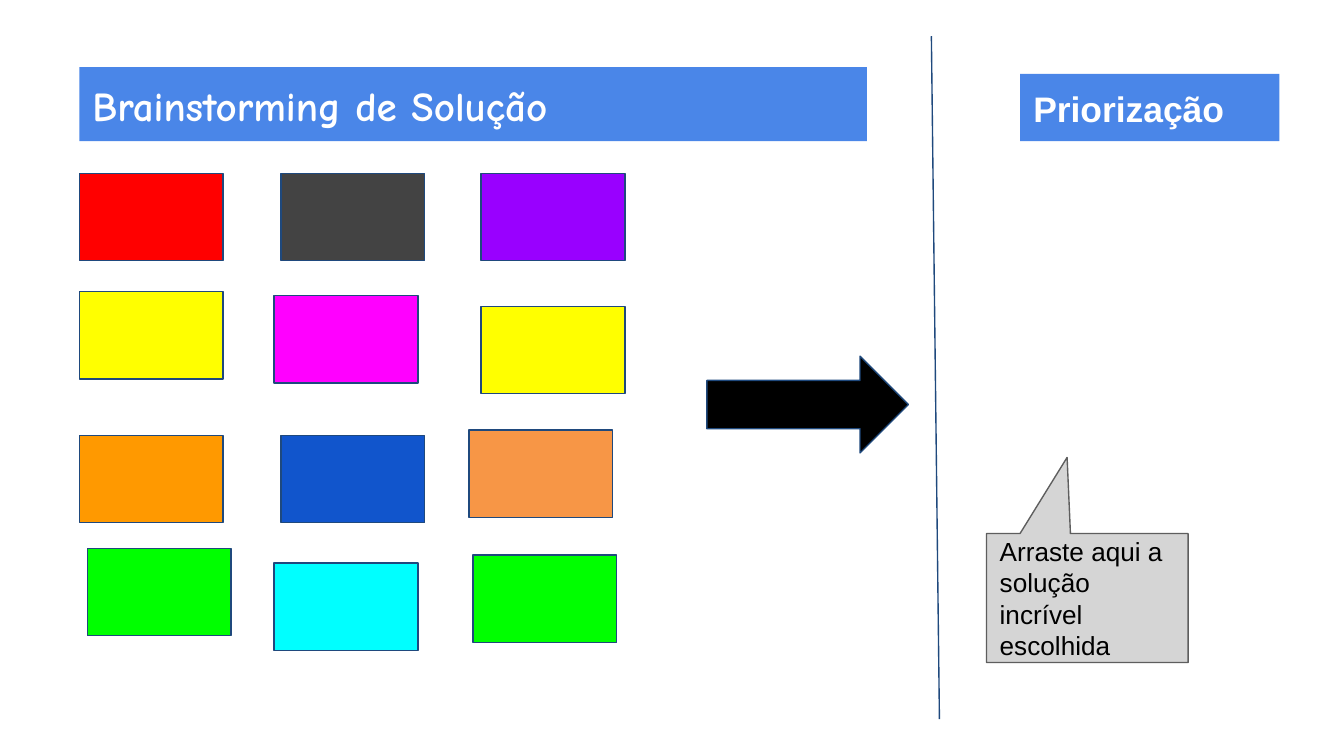
"""Build the solution brainstorming and prioritisation slide."""
from lxml import etree
from pptx import Presentation
from pptx import util as u
from pptx.dml.color import RGBColor
from pptx.enum import shapes, text
from pptx.oxml.ns import qn

COLORS = {
    "red": "FF0000", "gray": "434343", "purple": "9900FF",
    "yellow": "FFFF00", "magenta": "FF00FF", "orange": "FF9900",
    "blue": "1155CC", "peach": "F79646", "green": "00FF00",
    "cyan": "00FFFF", "navy": "1F497D", "banner": "4A86E8",
    "callout": "D5D5D5", "edge": "5E5E5E", "black": "000000",
    "white": "FFFFFF",
}


def add_shape(s, kind, box, fill, line=None):
    sp = s.shapes.add_shape(kind, *[u.Inches(v) for v in box])
    sp.shadow.inherit = False
    sp.fill.solid()
    sp.fill.fore_color.rgb = RGBColor.from_string(COLORS[fill])
    if line:
        sp.line.color.rgb = RGBColor.from_string(COLORS[line])
        sp.line.width = u.Pt(0.75)
    else:
        sp.line.fill.background()
    return sp


def write(sp, words, font, size, color, bold, anchor):
    tf = sp.text_frame
    tf.word_wrap = True
    tf.vertical_anchor = anchor
    tf.margin_left = tf.margin_right = u.Inches(0.1)
    tf.margin_top = tf.margin_bottom = u.Inches(0.1)
    p = tf.paragraphs[0]
    p.alignment = text.PP_ALIGN.LEFT
    r = p.add_run()
    r.text = words
    r.font.name = font
    r.font.size = u.Pt(size)
    r.font.bold = bold
    r.font.color.rgb = RGBColor.from_string(COLORS[color])


prs = Presentation()
prs.slide_width = u.Inches(10)
prs.slide_height = u.Inches(10 * 9 / 16)
s = prs.slides.add_slide(prs.slide_layouts[6])

notes = [
    (0.59, 1.29, "red"), (2.09, 1.29, "gray"), (3.58, 1.29, "purple"),
    (0.59, 2.17, "yellow"), (2.04, 2.2, "magenta"), (3.58, 2.28, "yellow"),
    (0.59, 3.24, "orange"), (2.09, 3.24, "blue"), (3.49, 3.2, "peach"),
    (0.65, 4.08, "green"), (2.04, 4.19, "cyan"), (3.52, 4.13, "green"),
]
for left, top, color in notes:
    add_shape(s, shapes.MSO_SHAPE.RECTANGLE, (left, top, 1.07, 0.65), color, "navy")

banners = [
    ((0.59, 0.5, 5.86, 0.55), "Brainstorming de Solução", "Comic Neue", 22),
    ((7.59, 0.55, 1.93, 0.5), "Priorização", "Arial", 19),
]
for box, words, font, size in banners:
    sp = add_shape(s, shapes.MSO_SHAPE.RECTANGLE, box, "banner")
    write(sp, words, font, size, "white", True, text.MSO_ANCHOR.TOP)

callout = add_shape(s, shapes.MSO_SHAPE.ROUNDED_RECTANGULAR_CALLOUT,
                    (7.34, 3.97, 1.5, 0.96), "callout", "edge")
for i, value in enumerate((-0.1, -1.09, 0)):
    callout.adjustments[i] = value
write(callout, "Arraste aqui a solução incrível escolhida", "Arial", 14,
      "black", False, text.MSO_ANCHOR.MIDDLE)

add_shape(s, shapes.MSO_SHAPE.RIGHT_ARROW, (5.26, 2.65, 1.5, 0.72), "black", "navy")

divider = s.shapes.add_connector(shapes.MSO_CONNECTOR.STRAIGHT, u.Inches(6.93),
                                 u.Inches(0.27), u.Inches(6.99), u.Inches(5.35))
divider.line.color.rgb = RGBColor.from_string(COLORS["navy"])
divider.line.width = u.Pt(0.75)
etree.SubElement(divider._element.spPr, qn("a:effectLst"))

prs.save("out.pptx")
